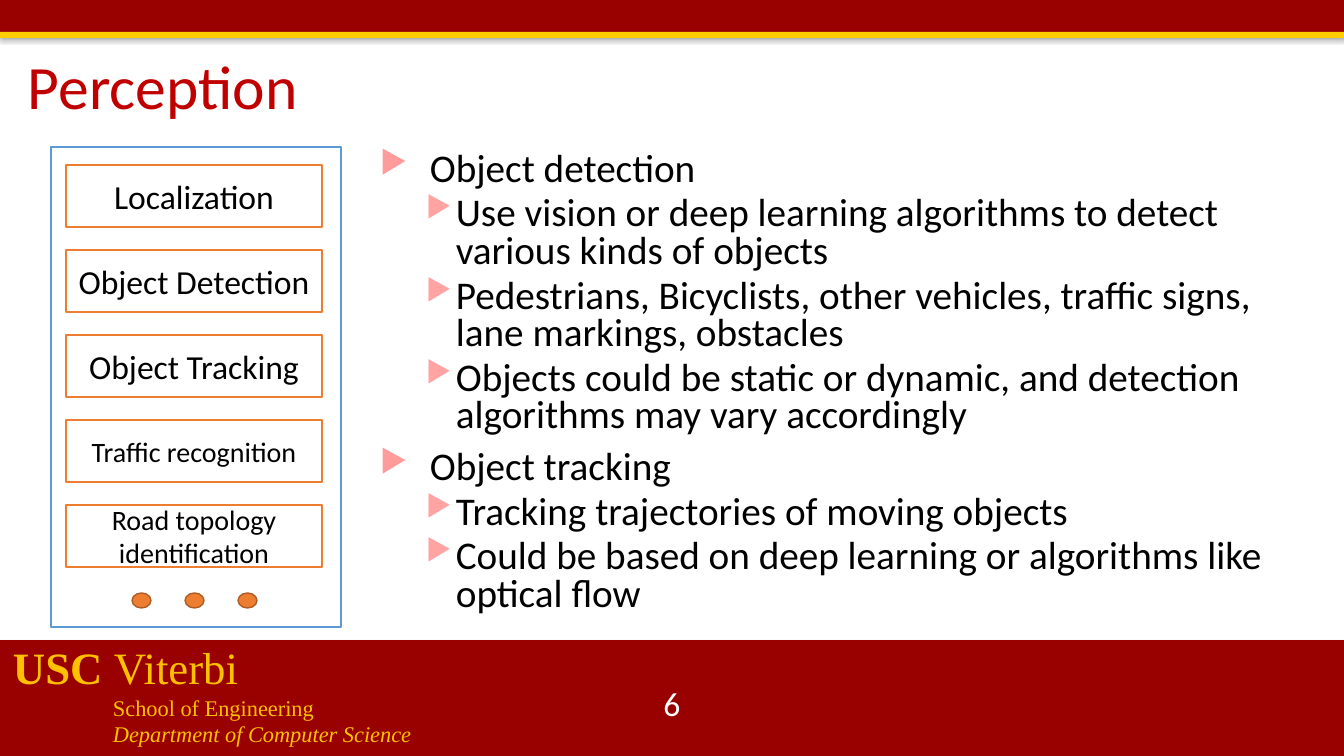
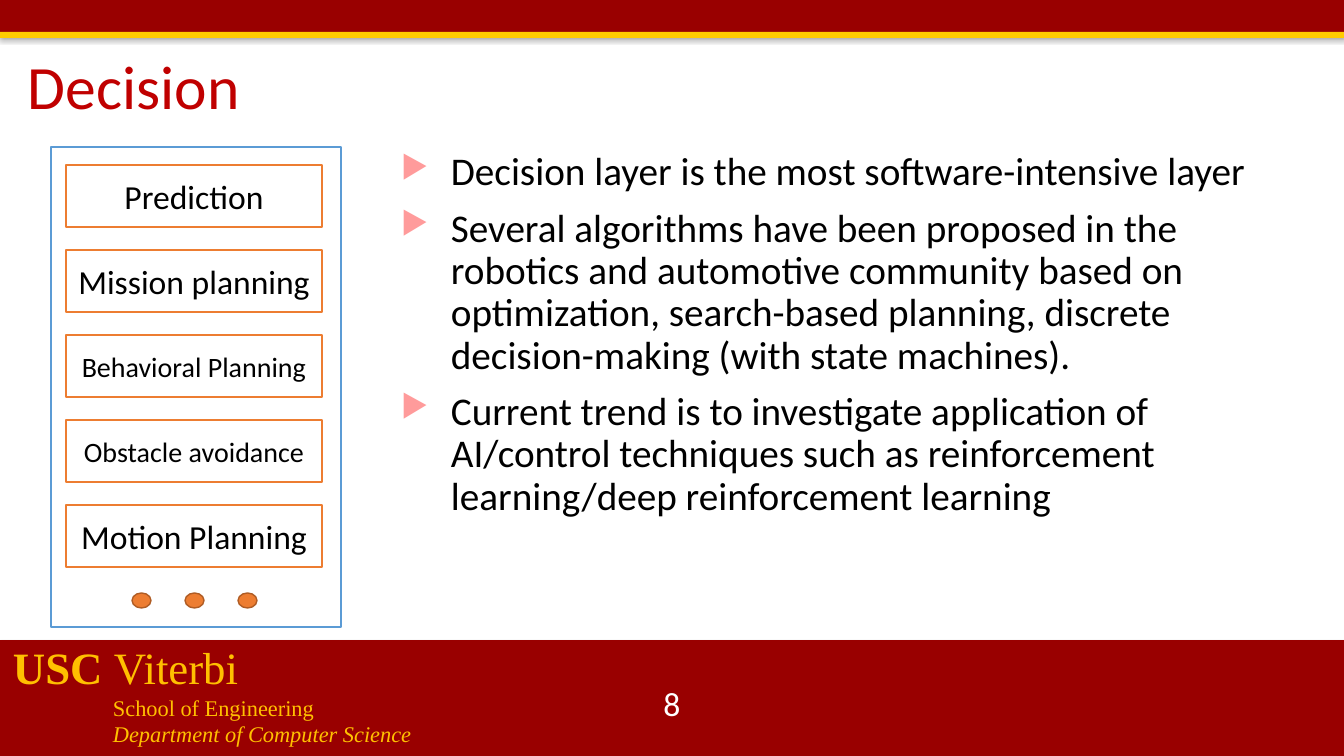
"""Build two lecture slides on the perception and decision layers."""
import pptx
import pptx.dml.color
import pptx.enum.shapes
import pptx.enum.text
import pptx.oxml
import pptx.oxml.ns
import pptx.util

RGB = pptx.dml.color.RGBColor
SHAPE = pptx.enum.shapes.MSO_SHAPE
ALIGN = pptx.enum.text.PP_ALIGN
ANCHOR = pptx.enum.text.MSO_ANCHOR
Pt = pptx.util.Pt

CARDINAL = RGB(0x99, 0x00, 0x00)
YELLOW = RGB(0xFF, 0xCC, 0x00)
GOLD = RGB(0xFF, 0xC0, 0x00)
RED = RGB(0xC0, 0x00, 0x00)
BLUE = RGB(0x5B, 0x9B, 0xD5)
ORANGE = RGB(0xED, 0x7D, 0x31)
BROWN = RGB(0xAF, 0x5C, 0x24)
BLACK = RGB(0, 0, 0)
WHITE = RGB(0xFF, 0xFF, 0xFF)
PINK = RGB(0xFF, 0x9B, 0x9B)
LIGHT_PINK = RGB(0xFF, 0xA3, 0xA3)

SLIDES = [
    {
        "title": "Perception",
        "number": "6",
        "modules": [("Localization", 24), ("Object Detection", 24), ("Object Tracking", 24),
                    ("Traffic recognition", 20), ("Road topology identification", 20)],
        "body_box": (370, 147, 937, 480),
        "line_spacing": 0.8,
        "body": [
            (0, "Object detection"),
            (1, "Use vision or deep learning algorithms to detect various kinds of objects"),
            (1, "Pedestrians, Bicyclists, other vehicles, traffic signs, lane markings, obstacles"),
            (1, "Objects could be static or dynamic, and detection algorithms may vary accordingly"),
            (0, "Object tracking"),
            (1, "Tracking trajectories of moving objects"),
            (1, "Could be based on deep learning or algorithms like optical flow"),
        ],
    },
    {
        "title": "Decision",
        "number": "8",
        "modules": [("Prediction", 24), ("Mission planning", 24), ("Behavioral Planning", 20),
                    ("Obstacle avoidance", 20), ("Motion Planning", 24)],
        "body_box": (391, 147, 917, 446),
        "line_spacing": 0.9,
        "body": [
            (0, "Decision layer is the most software-intensive layer"),
            (0, "Several algorithms have been proposed in the robotics and automotive community "
                "based on optimization, search-based planning, discrete decision-making "
                "(with state machines)."),
            (0, "Current trend is to investigate application of AI/control techniques such as "
                "reinforcement learning/deep reinforcement learning"),
        ],
    },
]

BANDS = [((0, 640, 1344, 116), CARDINAL), ((0, 0, 1344, 33), CARDINAL), ((0, 32, 1344, 6), YELLOW)]
FOOTER = [
    (0, [("USC ", {"size": Pt(32), "bold": True}), ("Viterbi", {"size": Pt(32)})]),
    (100, [("School of Engineering", {"size": Pt(16)})]),
    (100, [("Department of Computer Science", {"size": Pt(16), "italic": True})]),
]
LEVELS = [
    {"left": 50, "hang": 50, "before": 10, "color": PINK, "percent": 80},
    {"left": 76, "hang": 30, "before": 5, "color": LIGHT_PINK, "percent": 75},
]
SHADOW = (
    '<a:effectLst %s><a:outerShdw blurRad="39000" dist="23000" dir="5400000" rotWithShape="0">'
    '<a:srgbClr val="000000"><a:alpha val="35000"/></a:srgbClr></a:outerShdw></a:effectLst>'
    % pptx.oxml.ns.nsdecls("a"))


def px(n):
    return round(n * 914400 / 100.8)


def add_text(p, text, color, name="Calibri", **style):
    r = p.add_run()
    r.text = text
    r.font.color.rgb = color
    for key, value in {"name": name, **style}.items():
        setattr(r.font, key, value)


def add_box(s, at, anchor=ANCHOR.TOP):
    tf = s.shapes.add_textbox(*map(px, at)).text_frame
    tf.word_wrap = True
    tf.vertical_anchor = anchor
    return tf


def add_shape(s, kind, at, fill=None, line=None):
    sp = s.shapes.add_shape(kind, *map(px, at))
    sp.shadow.inherit = False
    for part, color in ((sp.fill, fill), (sp.line.fill, line)):
        if color is None:
            part.background()
        else:
            part.solid()
            part.fore_color.rgb = color
    if line is not None:
        sp.line.width = Pt(1)
    return sp


def add_frame(s, title, number):
    for at, color in BANDS:
        sp = add_shape(s, SHAPE.RECTANGLE, at, color)
        props = sp._element.spPr
        props.remove(props.find(pptx.oxml.ns.qn("a:effectLst")))
        props.append(pptx.oxml.parse_xml(SHADOW))

    tf = add_box(s, (3, 635, 630, 119))
    for i, (indent, runs) in enumerate(FOOTER):
        p = tf.add_paragraph() if i else tf.paragraphs[0]
        p._p.get_or_add_pPr().set("marL", str(px(indent)))
        for text, style in runs:
            add_text(p, text, GOLD, "Times New Roman", **style)

    p = add_box(s, (18, 47, 1204, 86), ANCHOR.MIDDLE).paragraphs[0]
    p.line_spacing = 0.9
    add_text(p, title, RED, size=Pt(44))

    p = add_box(s, (521, 683, 302, 40), ANCHOR.MIDDLE).paragraphs[0]
    p.alignment = ALIGN.CENTER
    add_text(p, number, WHITE, size=Pt(24))


def add_body(s, at, items, line_spacing):
    tf = add_box(s, at)
    for i, (depth, text) in enumerate(items):
        level = LEVELS[depth]
        p = tf.add_paragraph() if i else tf.paragraphs[0]
        p.level = depth
        p.line_spacing = line_spacing
        p.space_before = Pt(level["before"] if i else 0)
        pPr = p._p.get_or_add_pPr()
        pPr.set("marL", str(px(level["left"])))
        pPr.set("indent", str(-px(level["hang"])))
        for xml in ('<a:buClr %s><a:srgbClr val="{color}"/></a:buClr>',
                    '<a:buSzPct %s val="{percent}000"/>',
                    '<a:buChar %s char="▶"/>'):
            pPr.append(pptx.oxml.parse_xml(xml.format(**level) % pptx.oxml.ns.nsdecls("a")))
        add_text(p, text, BLACK, size=Pt(28))


def add_modules(s, modules):
    add_shape(s, SHAPE.RECTANGLE, (51, 147, 290, 480), line=BLUE)
    for i, (label, size) in enumerate(modules):
        sp = add_shape(s, SHAPE.RECTANGLE, (66, 165 + 85 * i, 256, 62), WHITE, ORANGE)
        tf = sp.text_frame
        tf.word_wrap = True
        tf.vertical_anchor = ANCHOR.MIDDLE
        p = tf.paragraphs[0]
        p.alignment = ALIGN.CENTER
        add_text(p, label, BLACK, size=Pt(size))
    for i in range(3):
        add_shape(s, SHAPE.OVAL, (132 + 53 * i, 593, 19, 15), ORANGE, BROWN)


def main():
    prs = pptx.Presentation()
    prs.slide_width, prs.slide_height = px(1344), px(756)
    for data in SLIDES:
        s = prs.slides.add_slide(prs.slide_layouts[6])
        add_frame(s, data["title"], data["number"])
        add_body(s, data["body_box"], data["body"], data["line_spacing"])
        add_modules(s, data["modules"])
    prs.save("out.pptx")


if __name__ == "__main__":
    main()
